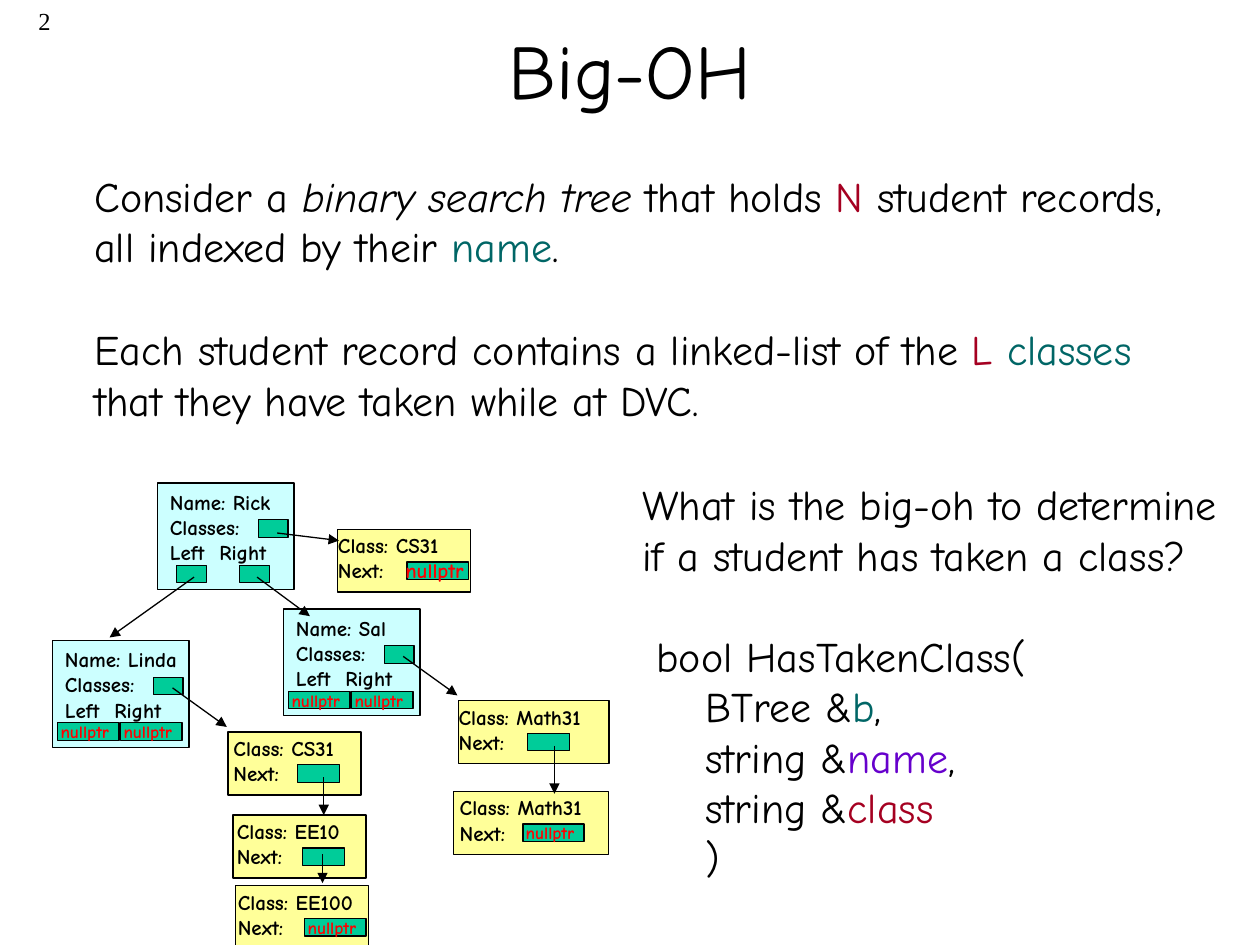
from pptx import Presentation
from pptx.dml.color import RGBColor
from pptx.enum.shapes import MSO_CONNECTOR, MSO_SHAPE
from pptx.enum.text import MSO_ANCHOR, PP_ALIGN
from pptx.oxml import parse_xml
from pptx.oxml.ns import nsdecls
from pptx.util import Pt

RECT = MSO_SHAPE.RECTANGLE
LINE = MSO_CONNECTOR.STRAIGHT
MIDDLE = MSO_ANCHOR.MIDDLE
CENTER, RIGHT = PP_ALIGN.CENTER, PP_ALIGN.RIGHT
FONT = "Comic Neue"
COLORS = {
    "black": "000000", "wine": "A50021", "teal": "006666", "violet": "6600CC",
    "red": "FF0000", "record": "CCFFFF", "class": "FFFF99", "cell": "00CC99",
}

# Each paragraph is a list of runs: text, then colour and format where they differ.
TREE = [[("Consider a ",), ("binary search tree", "black", {"italic": True}),
         (" that holds ",), ("N", "wine"),
         (" student records, all indexed by their ",), ("name", "teal"), (".",)]]
LIST = [[("Each student record contains a linked-list of the ",), ("L ", "wine"),
         ("classes", "teal"), (" that they have taken while at DVC.",)]]
CODE = [[("What is the big-oh to determine if a student has taken a class?",)],
        [(" bool HasTakenClass(",)],
        [("\tBTree &",), ("b", "teal"), (",",)],
        [("\tstring &",), ("name", "violet"), (",",)],
        [("\tstring &",), ("class", "wine")],
        [("\t)",)]]

# name, left, top, whether both children are null
RECORDS = [("Rick", 90, 276, False), ("Linda", 30, 366, True), ("Sal", 162, 348, True)]

# name, left, top, width, text offset, size of nullptr (0 when there is a next class)
CLASSES = [
    ("CS31", 193, 302.4, 76, -7, 12),
    ("CS31", 130.3, 418.3, 76, -4, 0),
    ("EE10", 133.2, 465.8, 76, -5, 0),
    ("EE100", 134.6, 506.2, 76, -5.8, 10),
    ("Math31", 262, 400.3, 86, -7, 0),
    ("Math31", 259.2, 452.2, 88.6, -3.6, 10),
]

ARROWS = [
    (158.4, 304.6, 193.7, 308.9), (110.9, 329.8, 62.6, 364.3),
    (146.9, 329.8, 177.1, 352.1), (98.6, 393.1, 129.6, 415.4),
    (230.4, 375.1, 261.4, 397.4), (185, 444.2, 185, 465.8),
    (184.3, 488.2, 184.3, 504.7), (316.8, 426.2, 316.8, 453.6),
]


def rgb(name):
    return RGBColor.from_string(COLORS[name])


def write(frame, paras, size, font=FONT, bold=False, align=None):
    for i, runs in enumerate(paras):
        para = frame.paragraphs[0] if i == 0 else frame.add_paragraph()
        para.alignment = align
        for text, color, extra in [(*r, "black", {})[:3] if len(r) == 1
                                   else (*r, {})[:3] for r in runs]:
            run = para.add_run()
            run.text = text
            run.font.color.rgb = rgb(color)
            form = {"name": font, "size": Pt(size), "bold": bold, **extra}
            for key, value in form.items():
                setattr(run.font, key, value)


def add_text(slide, area, paras, size, **form):
    box = slide.shapes.add_textbox(*map(Pt, area))
    box.text_frame.word_wrap = True
    write(box.text_frame, paras, size, **form)
    return box.text_frame


def add_box(slide, area, fill):
    box = slide.shapes.add_shape(RECT, *map(Pt, area))
    box.shadow.inherit = False
    box.fill.solid()
    box.fill.fore_color.rgb = rgb(fill)
    box.line.color.rgb = rgb("black")
    box.line.width = Pt(0.75)


def add_cell(slide, x, y, wide, null=0):
    """Draw a pointer cell, labelled nullptr at the size given by null."""
    add_box(slide, (x, y, wide, 10), "cell")
    if null:
        dx, dy, w = (8, 6, 52) if null == 12 else (5.5, 4.5, 46)
        add_text(slide, (x - dx, y - dy, w, 20), [[("nullptr", "red")]], null, bold=True)


def add_record(slide, name, x, y, null):
    add_box(slide, (x, y, 78, 61), "record")
    lines = [[(f"Name: {name}",)], [("Classes:",)], [("Left  Right",)]]
    add_text(slide, (x, y, 88, 65), lines, 12, bold=True)
    add_cell(slide, x + 57.6, y + 21, 17)
    for dx in (3, 39) if null else (11, 47):
        add_cell(slide, x + dx, y + 47, 35 if null else 17, 10 if null else 0)


def add_class(slide, name, x, y, wide, shift, null):
    add_box(slide, (x, y, wide, 36), "class")
    lines = [[(f"Class: {name}",)], [("Next:",)]]
    add_text(slide, (x + shift, y - 1.5, 98, 36), lines, 12, bold=True)
    add_cell(slide, x + 39.6, y + 18.7, 35 if null else 24, null)


def add_arrow(slide, ends):
    arrow = slide.shapes.add_connector(LINE, *map(Pt, ends))
    arrow.line.color.rgb = rgb("black")
    arrow.line.width = Pt(0.75)
    arrow.line._get_or_add_ln().append(
        parse_xml(f'<a:tailEnd {nsdecls("a")} type="triangle"/>'))
    arrow._element.spPr.append(parse_xml(f'<a:effectLst {nsdecls("a")}/>'))


def add_title(slide, text):
    title = slide.shapes.title
    area = {"left": 54, "top": -6, "width": 612, "height": 90}
    for key, value in area.items():
        setattr(title, key, Pt(value))
    title.text_frame.vertical_anchor = MIDDLE
    write(title.text_frame, [[(text,)]], 44, align=CENTER)


def main():
    deck = Presentation()
    deck.slide_width, deck.slide_height = Pt(720), Pt(540)
    slide = deck.slides.add_slide(deck.slide_layouts[5])
    add_title(slide, "Big-OH")
    add_text(slide, (0, 0, 36, 36), [[("2",)]], 14, font="Times New Roman", align=RIGHT)
    add_text(slide, (46.8, 93.6, 643, 65), TREE, 24)
    add_text(slide, (46.8, 181.4, 643, 65), LIST, 24)
    code = add_text(slide, (360, 270, 348, 266), CODE, 24)
    code.paragraphs[1].space_before = Pt(29)
    for record in RECORDS:
        add_record(slide, *record)
    for item in CLASSES:
        add_class(slide, *item)
    for ends in ARROWS:
        add_arrow(slide, ends)
    deck.save("out.pptx")


if __name__ == "__main__":
    main()
